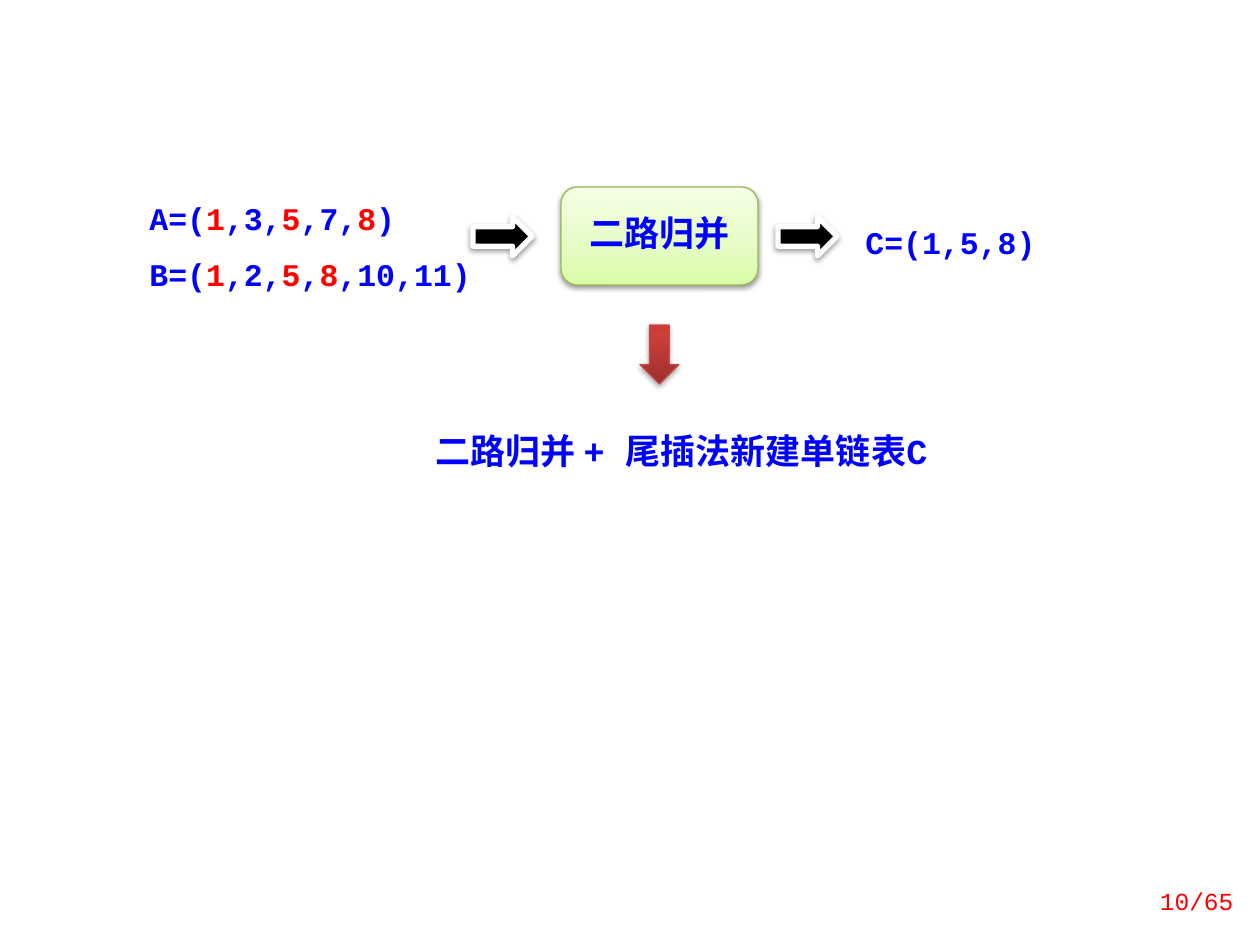
from lxml import etree
from pptx import Presentation
from pptx import util as u
from pptx.dml.color import RGBColor
from pptx.enum import shapes, text
from pptx.oxml.ns import qn

SCALE = 914400 // 126
FONT = "Courier New"
BLUE, RED, BLACK, WHITE = "0000FF", "FF0000", "000000", "FFFFFF"
ROUND = shapes.MSO_SHAPE.ROUNDED_RECTANGLE
RIGHT = shapes.MSO_SHAPE.RIGHT_ARROW
DOWN = shapes.MSO_SHAPE.DOWN_ARROW
GREEN_STOPS = [(0, "DAFDA7"), (35, "E4FCC2"), (100, "F5FFE7")]
RED_STOPS = [(0, "9C2F2D"), (80, "CB3E3A"), (100, "CE3B37")]


def px(n):
    return u.Emu(n * SCALE)


def color(value):
    return RGBColor.from_string(value)


def child(parent, tag, **attrs):
    return etree.SubElement(parent, qn(tag), {k: str(v) for k, v in attrs.items()})


class Deck:
    def __init__(self):
        self.prs = Presentation()
        self.prs.slide_width, self.prs.slide_height = u.Inches(10), u.Inches(7.5)
        self.s = self.prs.slides.add_slide(self.prs.slide_layouts[6])

    def put_text(self, sp, paragraphs, size=18, bold=True, align=None, spacing=None):
        tf = sp.text_frame
        tf.word_wrap = True
        for i, runs in enumerate(paragraphs):
            p = tf.add_paragraph() if i else tf.paragraphs[0]
            p.alignment = align
            if spacing:
                p.line_spacing = spacing
            if i:
                p.space_before = u.Pt(10)
            for words, tint in runs:
                r = p.add_run()
                r.text = words
                r.font.name, r.font.size, r.font.bold = FONT, u.Pt(size), bold
                r.font.color.rgb = color(tint)

    def text_box(self, box, *paragraphs, anchor=text.MSO_ANCHOR.TOP, **style):
        sp = self.s.shapes.add_textbox(*map(px, box))
        self.put_text(sp, paragraphs, **style)
        sp.text_frame.vertical_anchor = anchor

    def shape(self, kind, box, fill, line, width=0.75, shadow=38):
        sp = self.s.shapes.add_shape(kind, *map(px, box))
        sp.line.color.rgb, sp.line.width = color(line), u.Pt(width)
        if isinstance(fill, str):
            sp.fill.solid()
            sp.fill.fore_color.rgb = color(fill)
        else:
            self.gradient(sp, fill)
        self.shadow(sp, shadow)
        return sp

    def gradient(self, sp, stops):
        sp.fill.gradient()
        sp.fill.gradient_angle = 90
        gs_list = sp.element.spPr.find(qn("a:gradFill")).find(qn("a:gsLst"))
        for gs in list(gs_list):
            gs_list.remove(gs)
        for position, tint in stops:
            gs = child(gs_list, "a:gs", pos=position * 1000)
            child(gs, "a:srgbClr", val=tint)

    def shadow(self, sp, opacity):
        sp.shadow.inherit = False
        effects = sp.element.spPr.find(qn("a:effectLst"))
        outer = child(effects, "a:outerShdw", blurRad=u.Pt(3.1), dist=u.Pt(1.7),
                      dir=5400000, rotWithShape=0)
        tint = child(outer, "a:srgbClr", val=BLACK)
        child(tint, "a:alpha", val=opacity * 1000)


def main():
    d = Deck()
    d.text_box((137, 193, 374, 108),
               [("A=(", BLUE), ("1", RED), (",3,", BLUE), ("5", RED), (",7,", BLUE),
                ("8", RED), (")", BLUE)],
               [("B=(", BLUE), ("1", RED), (",2,", BLUE), ("5", RED), (",", BLUE),
                ("8", RED), (",10,11)", BLUE)])
    d.text_box((853, 217, 197, 50), [("C=(1,5,8)", BLUE)])
    merge = d.shape(ROUND, (561, 187, 197, 98), GREEN_STOPS, "98B955")
    d.put_text(merge, [[("二路归并", BLUE)]], size=20,
               align=text.PP_ALIGN.CENTER, spacing=0.8)
    for left in (473, 778):
        d.shape(RIGHT, (left, 217, 59, 39), BLACK, WHITE, width=3)
    d.text_box((423, 423, 552, 55), [("二路归并 + 尾插法新建单链表C", BLUE)], size=20)
    d.shape(DOWN, (640, 325, 39, 59), RED_STOPS, "BF4C48", shadow=35)
    d.text_box((1131, 876, 115, 50), [("10/65", RED)], size=14, bold=False,
               align=text.PP_ALIGN.RIGHT, anchor=text.MSO_ANCHOR.MIDDLE)
    d.prs.save("out.pptx")


if __name__ == "__main__":
    main()
